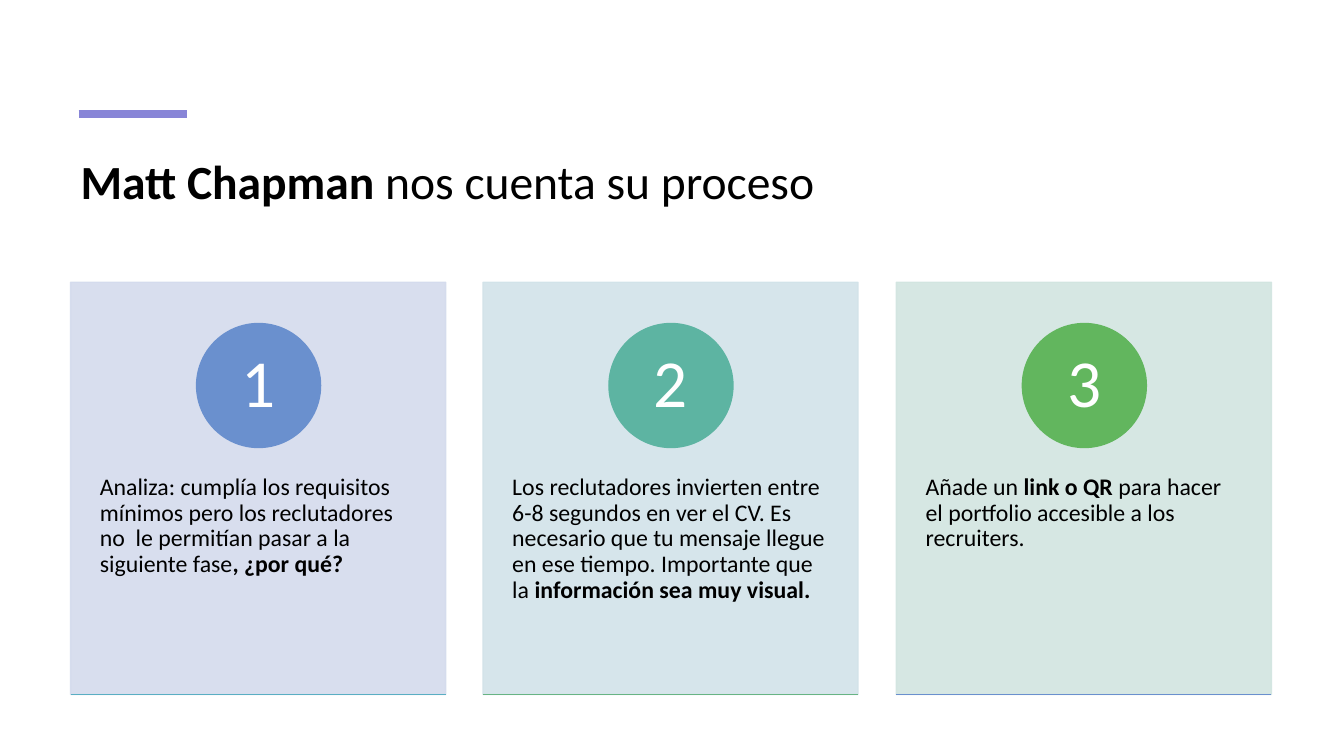
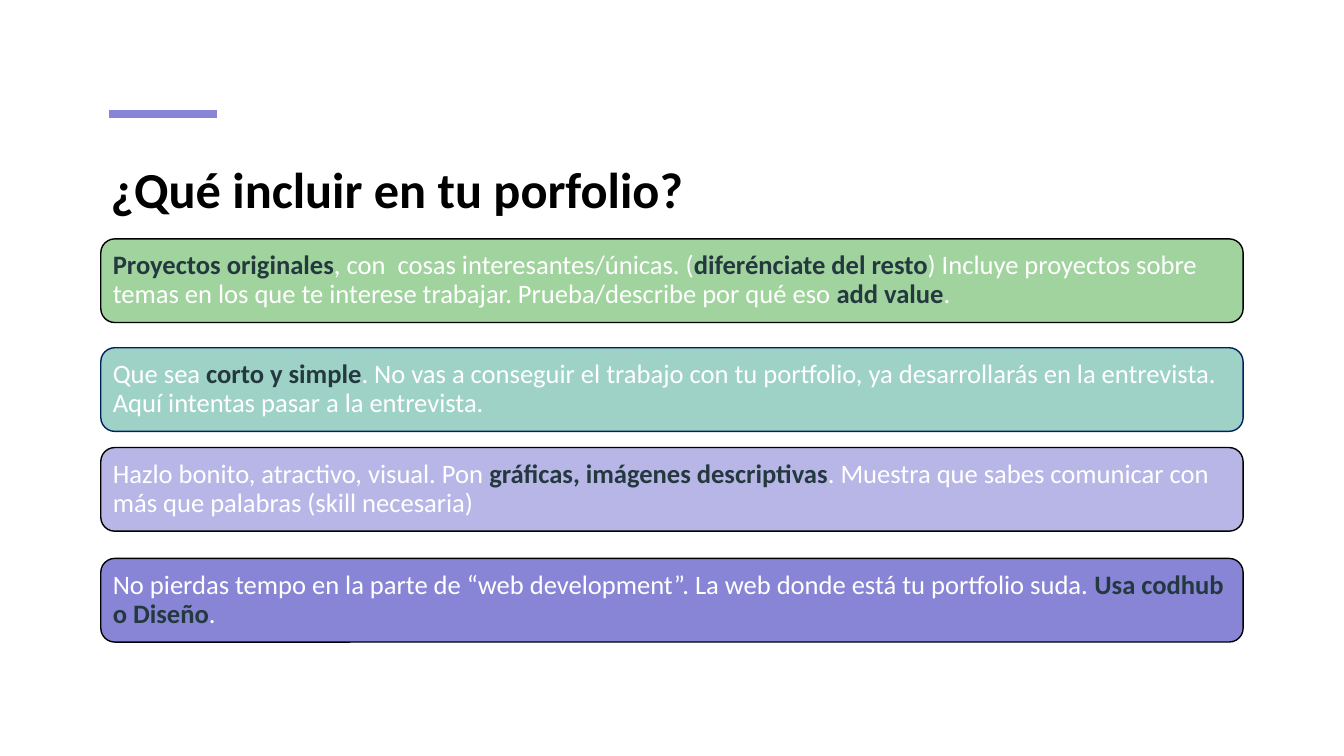
from dataclasses import dataclass

import lxml.etree
import pptx
import pptx.dml.color
import pptx.enum.shapes
import pptx.enum.text
import pptx.oxml.ns
import pptx.util

SHAPE = pptx.enum.shapes.MSO_SHAPE
ANCHOR = pptx.enum.text.MSO_ANCHOR
ALIGN = pptx.enum.text.PP_ALIGN
qn = pptx.oxml.ns.qn


@dataclass(frozen=True)
class Theme:
    font: str = "Calibri"
    accent: str = "8885D7"
    ink: str = "000000"
    light: str = "FFFFFF"
    strong: str = "24393F"
    card_title: int = 34
    list_title: int = 36
    number: int = 48
    card: int = 17
    bar: int = 19


THEME = Theme()

CARDS = [
    ("D4DBED", "6A90CE", "5AAEC3",
     "Analiza: cumplía los requisitos mínimos pero los reclutadores no  le permitían "
     "pasar a la siguiente fase**, ¿por qué?**"),
    ("D2E3E9", "5DB4A2", "68B484",
     "Los reclutadores invierten entre 6-8 segundos en ver el CV. Es necesario que tu "
     "mensaje llegue en ese tiempo. Importante que la **información sea muy visual.**"),
    ("D2E5E0", "62B65E", "6A90CE",
     "Añade un **link o QR **para hacer el portfolio accesible a los recruiters."),
]

BARS = [
    (237, "A1D39E", "000000",
     "**Proyectos originales**, con  cosas interesantes/únicas. (**diferénciate del resto**) "
     "Incluye proyectos sobre temas en los que te interese trabajar. Prueba/describe por qué "
     "eso **add value**."),
    (345, "9ED2C7", "002060",
     "Que sea **corto y simple**. No vas a conseguir el trabajo con tu portfolio, ya "
     "desarrollarás en la entrevista. Aquí intentas pasar a la entrevista."),
    (444, "B8B6E7", "000000",
     "Hazlo bonito, atractivo, visual. Pon **gráficas, imágenes descriptivas**. Muestra que "
     "sabes comunicar con más que palabras (skill necesaria)"),
    (554, "8885D7", "000000",
     "No pierdas tempo en la parte de “web development”. La web donde está tu portfolio suda. "
     "**Usa codhub o Diseño**."),
]


def px(n):
    return pptx.util.Emu(n * 9144)


def rgb(color):
    return pptx.dml.color.RGBColor.from_string(color)


def write(sp, text, size, color, strong=None, insets=(8, 8, 8, 8),
          anchor=ANCHOR.TOP, align=ALIGN.LEFT, spacing=0.9):
    tf = sp.text_frame
    tf.word_wrap = True
    tf.vertical_anchor = anchor
    tf.margin_left, tf.margin_top, tf.margin_right, tf.margin_bottom = map(px, insets)
    p = tf.paragraphs[0]
    p.alignment = align
    p.line_spacing = spacing
    p.font.name = THEME.font
    p.font.size = pptx.util.Pt(size)
    p.font.color.rgb = rgb(color)
    for i, part in enumerate(text.split("**")):
        if part:
            r = p.add_run()
            r.text = part
            if i % 2:
                r.font.bold = True
                if strong:
                    r.font.color.rgb = rgb(strong)


def add_shape(s, kind, box, fill, line):
    sp = s.shapes.add_shape(kind, *map(px, box))
    sp.shadow.inherit = False
    sp.fill.solid()
    sp.fill.fore_color.rgb = rgb(fill)
    sp.line.color.rgb = rgb(line)
    sp.line.width = pptx.util.Pt(1)
    return sp


def set_opacity(sp, percent):
    for color in sp.element.spPr.iter(qn("a:srgbClr")):
        lxml.etree.SubElement(color, qn("a:alpha")).set("val", str(percent * 1000))


def add_rule(s, left, top, width, color, weight):
    line = s.shapes.add_connector(pptx.enum.shapes.MSO_CONNECTOR.STRAIGHT,
                                  px(left), px(top), px(left + width), px(top))
    line.line.color.rgb = rgb(color)
    line.line.width = pptx.util.Pt(weight)
    lxml.etree.SubElement(line.element.spPr, qn("a:effectLst"))


def add_titled_slide(prs, title, left, width, size, spacing):
    s = prs.slides.add_slide(prs.slide_layouts[6])
    add_rule(s, left + 8, 113, 107, THEME.accent, 6)
    sp = s.shapes.add_textbox(px(left), px(150), px(width), px(80))
    write(sp, title, size, THEME.ink, insets=(10, 7, 10, 5), spacing=spacing)
    return s


def add_card(s, left, number, fill, badge, rule, text):
    top, width, height, diameter = 280, 372, 409, 123
    sp = add_shape(s, SHAPE.RECTANGLE, (left, top, width, height), fill, fill)
    set_opacity(sp, 90)
    write(sp, text, THEME.card, THEME.ink, insets=(29, 191, 29, 36))
    circle = (left + (width - diameter) // 2 + 1, top + 41, diameter, diameter)
    sp = add_shape(s, SHAPE.OVAL, circle, badge, badge)
    write(sp, str(number), THEME.number, THEME.light, insets=(10, 1, 10, 1),
          anchor=ANCHOR.MIDDLE, align=ALIGN.CENTER)
    add_rule(s, left, top + height, width, rule, 1)


def add_bar(s, top, fill, line, text):
    sp = add_shape(s, SHAPE.ROUNDED_RECTANGLE, (100, top, 1133, 83), fill, line)
    write(sp, text, THEME.bar, THEME.light, THEME.strong, anchor=ANCHOR.MIDDLE)


def main():
    prs = pptx.Presentation()
    prs.slide_width, prs.slide_height = px(1333), px(750)

    s = add_titled_slide(prs, "**Matt Chapman **nos cuenta su proceso",
                         70, 1191, THEME.card_title, 0.9)
    for i, card in enumerate(CARDS):
        add_card(s, 70 + i * (1191 - 372) // 2, i + 1, *card)

    s = add_titled_slide(prs, "**¿Qué incluir en tu porfolio?**",
                         100, 1133, THEME.list_title, 1.0)
    for bar in BARS:
        add_bar(s, *bar)

    prs.save("out.pptx")


if __name__ == "__main__":
    main()
